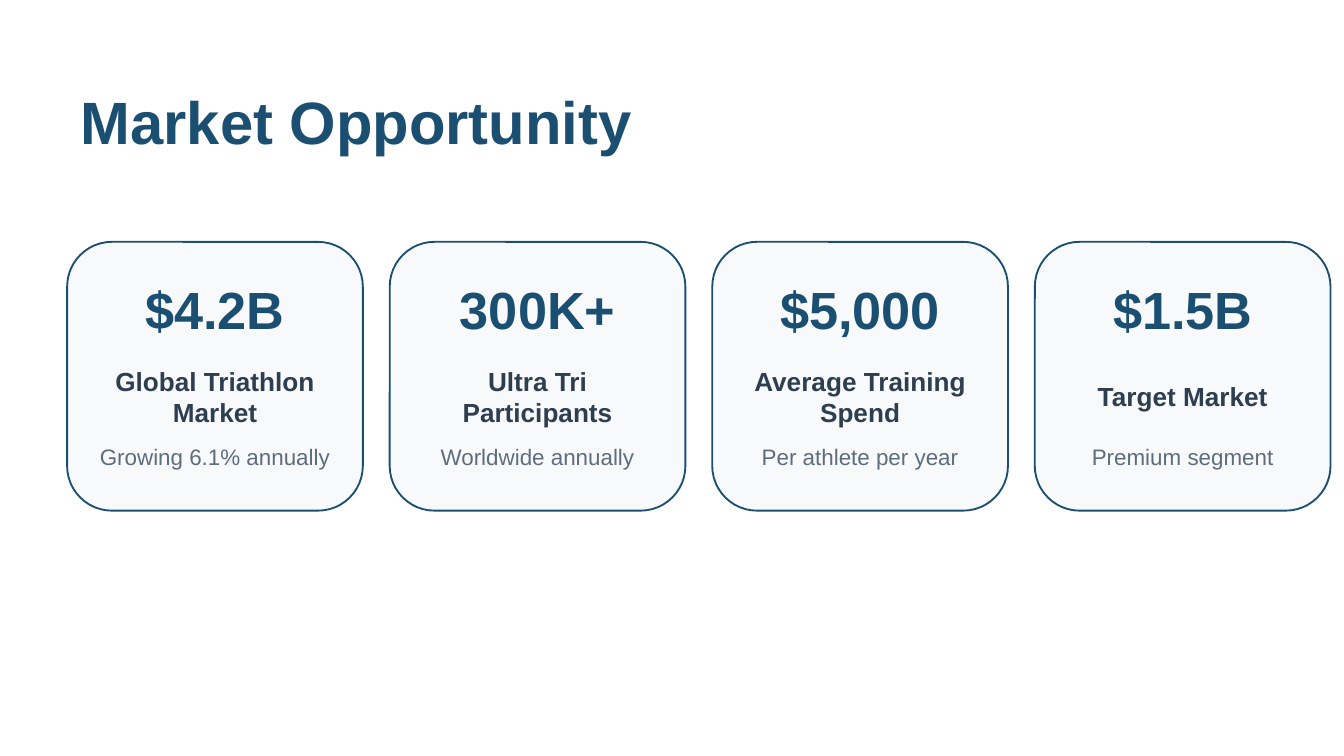
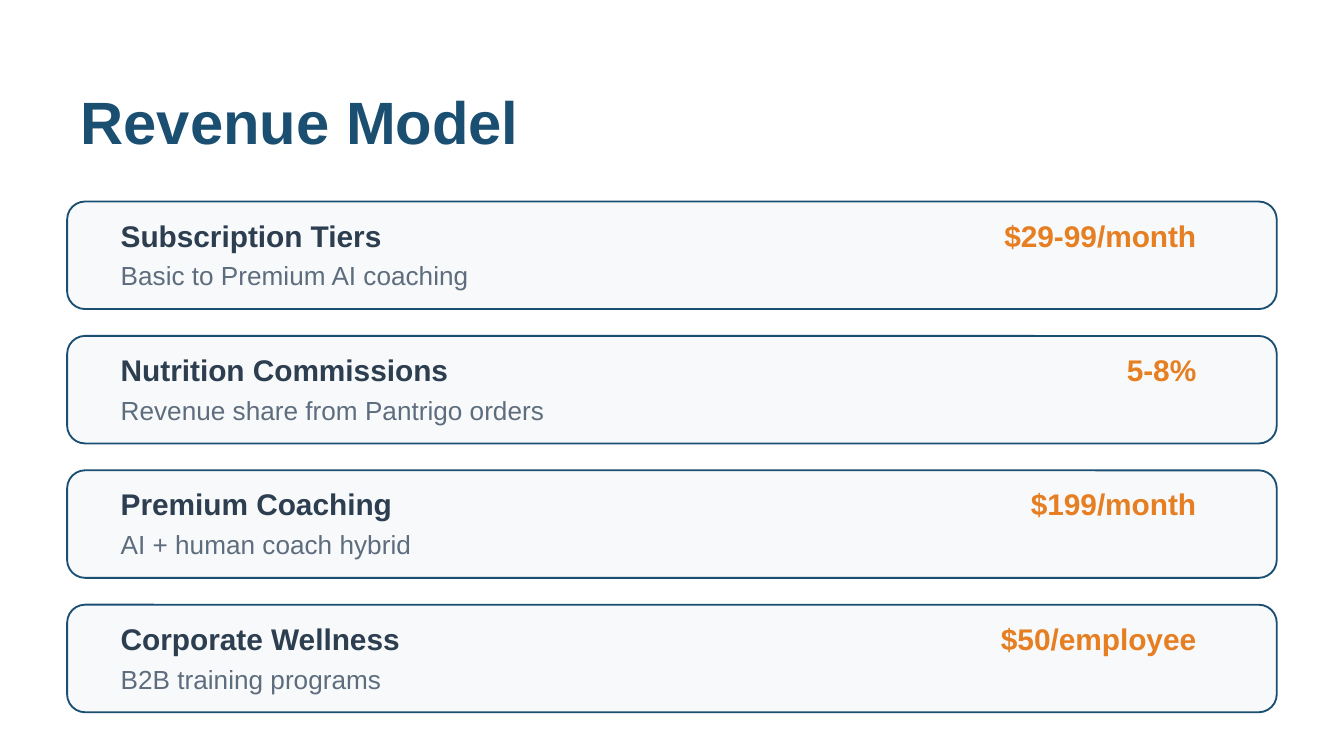
from pptx import Presentation
from pptx import util as u
from pptx.dml.color import RGBColor
from pptx.enum import shapes, text

PX = 4572
FONT = "Arial"
NAVY = RGBColor(0x1B, 0x4F, 0x72)
SLATE = RGBColor(0x2C, 0x3E, 0x50)
GREY = RGBColor(0x5D, 0x6D, 0x7E)
ORANGE = RGBColor(0xE6, 0x7E, 0x22)
PALE = RGBColor(0xF8, 0xF9, 0xFA)

LEFT, CENTER, RIGHT = text.PP_ALIGN.LEFT, text.PP_ALIGN.CENTER, text.PP_ALIGN.RIGHT
TITLE_BOX = (100, 100, 1800, 160)

MARKET_STATS = [
    ("$4.2B", "Global Triathlon Market", "Growing 6.1% annually"),
    ("300K+", "Ultra Tri Participants", "Worldwide annually"),
    ("$5,000", "Average Training Spend", "Per athlete per year"),
    ("$1.5B", "Target Market", "Premium segment"),
]
REVENUE_STREAMS = [
    ("Subscription Tiers", "$29-99/month", "Basic to Premium AI coaching"),
    ("Nutrition Commissions", "5-8%", "Revenue share from Pantrigo orders"),
    ("Premium Coaching", "$199/month", "AI + human coach hybrid"),
    ("Corporate Wellness", "$50/employee", "B2B training programs"),
]


def scaled(box):
    """Turn a box in px into EMU lengths."""
    return [u.Emu(length * PX) for length in box]


def write(shape, words, size, color, bold=False, align=LEFT):
    """Put one formatted, vertically centred paragraph into a shape."""
    frame = shape.text_frame
    frame.word_wrap = True
    frame.auto_size = text.MSO_AUTO_SIZE.NONE
    frame.vertical_anchor = text.MSO_ANCHOR.MIDDLE
    paragraph = frame.paragraphs[0]
    paragraph.alignment = align
    run = paragraph.add_run()
    run.text = words
    run.font.name = FONT
    run.font.size = u.Pt(size)
    run.font.bold = bold
    run.font.color.rgb = color


def add_label(slide, box, words, **style):
    """Add a text box with formatted text."""
    write(slide.shapes.add_textbox(*scaled(box)), words, **style)


def add_panel(slide, box):
    """Add the pale rounded panel that holds a card or a row."""
    panel = slide.shapes.add_shape(shapes.MSO_SHAPE.ROUNDED_RECTANGLE, *scaled(box))
    panel.shadow.inherit = False
    panel.fill.solid()
    panel.fill.fore_color.rgb = PALE
    panel.line.color.rgb = NAVY
    panel.line.width = u.Pt(1)


def add_titled_slide(presentation, words):
    """Add a slide with the shared title style."""
    slide = presentation.slides.add_slide(presentation.slide_layouts[5])
    title = slide.shapes.title
    title.left, title.top, title.width, title.height = scaled(TITLE_BOX)
    write(title, words, size=32, color=NAVY, bold=True)
    return slide


def add_stat_card(slide, box, figure, name, note):
    """Draw a card with a large figure, its name and a note."""
    left, top, width, height = box
    inner_left, inner_width = left + 20, width - 40
    add_panel(slide, box)
    add_label(slide, (inner_left, top + 40, inner_width, 120), figure,
              size=28, color=NAVY, bold=True, align=CENTER)
    add_label(slide, (inner_left, top + 180, inner_width, 100), name,
              size=14, color=SLATE, bold=True, align=CENTER)
    add_label(slide, (inner_left, top + 280, inner_width, 80), note,
              size=12, color=GREY, align=CENTER)


def add_stream_row(slide, box, name, price, note):
    """Draw a row with a revenue stream, its price and a note."""
    left, top, width, height = box
    add_panel(slide, box)
    add_label(slide, (left + 60, top + 20, 600, 60), name,
              size=16, color=SLATE, bold=True)
    add_label(slide, (left + width - 600, top + 20, 500, 60), price,
              size=16, color=ORANGE, bold=True, align=RIGHT)
    add_label(slide, (left + 60, top + 80, width - 200, 60), note,
              size=14, color=GREY)


def build_market_slide(presentation):
    """Build the slide with a line of market cards."""
    slide = add_titled_slide(presentation, "Market Opportunity")
    for index, stat in enumerate(MARKET_STATS):
        add_stat_card(slide, (100 + index * 480, 360, 440, 400), *stat)


def build_revenue_slide(presentation):
    """Build the slide with a stack of revenue rows."""
    slide = add_titled_slide(presentation, "Revenue Model")
    for index, stream in enumerate(REVENUE_STREAMS):
        add_stream_row(slide, (100, 300 + index * 200, 1800, 160), *stream)


def main():
    """Build and save the presentation."""
    presentation = Presentation()
    presentation.slide_width, presentation.slide_height = scaled((2000, 1125))
    build_market_slide(presentation)
    build_revenue_slide(presentation)
    presentation.save("out.pptx")


if __name__ == "__main__":
    main()
